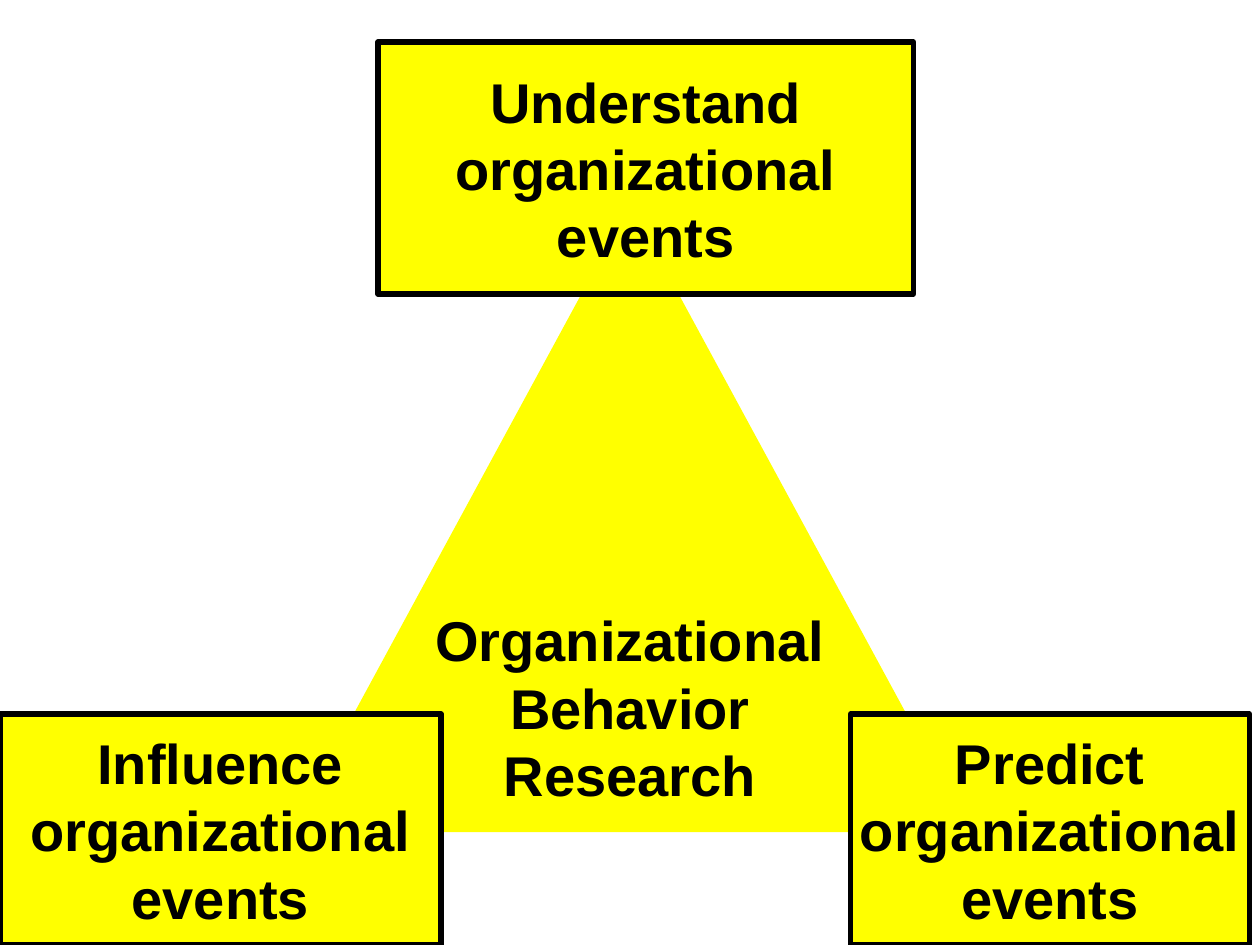
"""Build a slide showing the three aims of organizational behavior research."""
import pptx
import pptx.dml.color
import pptx.enum.shapes
import pptx.enum.text
import pptx.util

Pt = pptx.util.Pt
Shape = pptx.enum.shapes.MSO_SHAPE
COLORS = {"fill": "FFFF00", "ink": "000000"}
RGB = {name: pptx.dml.color.RGBColor.from_string(value) for name, value in COLORS.items()}
FONT_FORMAT = {"name": "Arial", "size": Pt(32), "bold": True}
FRAME_FORMAT = {
    "word_wrap": False,
    "vertical_anchor": pptx.enum.text.MSO_ANCHOR.MIDDLE,
    "margin_left": Pt(7.2),
    "margin_right": Pt(7.2),
    "margin_bottom": Pt(3.6),
}
AIM_ENDING = ["organizational", "events"]
FIGURES = [
    (Shape.ISOSCELES_TRIANGLE, (168, 120, 384, 354), "fill", 40.4,
     ["Organizational", "Behavior", "Research"]),
    (Shape.RECTANGLE, (216, 24, 306, 144), "ink", 3.6, ["Understand"] + AIM_ENDING),
    (Shape.RECTANGLE, (486, 408, 228, 132), "ink", 3.6, ["Predict"] + AIM_ENDING),
    (Shape.RECTANGLE, (0, 408, 252, 132), "ink", 3.6, ["Influence"] + AIM_ENDING),
]

deck = pptx.Presentation()
deck.slide_width, deck.slide_height = Pt(720), Pt(540)
slide = deck.slides.add_slide(deck.slide_layouts[6])

for kind, place, outline, top_margin, lines in FIGURES:
    box = slide.shapes.add_shape(kind, *[Pt(length) for length in place])
    box.shadow.inherit = False
    box.fill.solid()
    box.fill.fore_color.rgb = RGB["fill"]
    box.line.color.rgb = RGB[outline]
    box.line.width = Pt(3)
    frame = box.text_frame
    for name, value in FRAME_FORMAT.items():
        setattr(frame, name, value)
    frame.margin_top = Pt(top_margin)
    for index, line in enumerate(lines):
        para = frame.add_paragraph() if index else frame.paragraphs[0]
        para.alignment = pptx.enum.text.PP_ALIGN.CENTER
        span = para.add_run()
        span.text = line
        for name, value in FONT_FORMAT.items():
            setattr(span.font, name, value)
        span.font.color.rgb = RGB["ink"]

deck.save("out.pptx")
